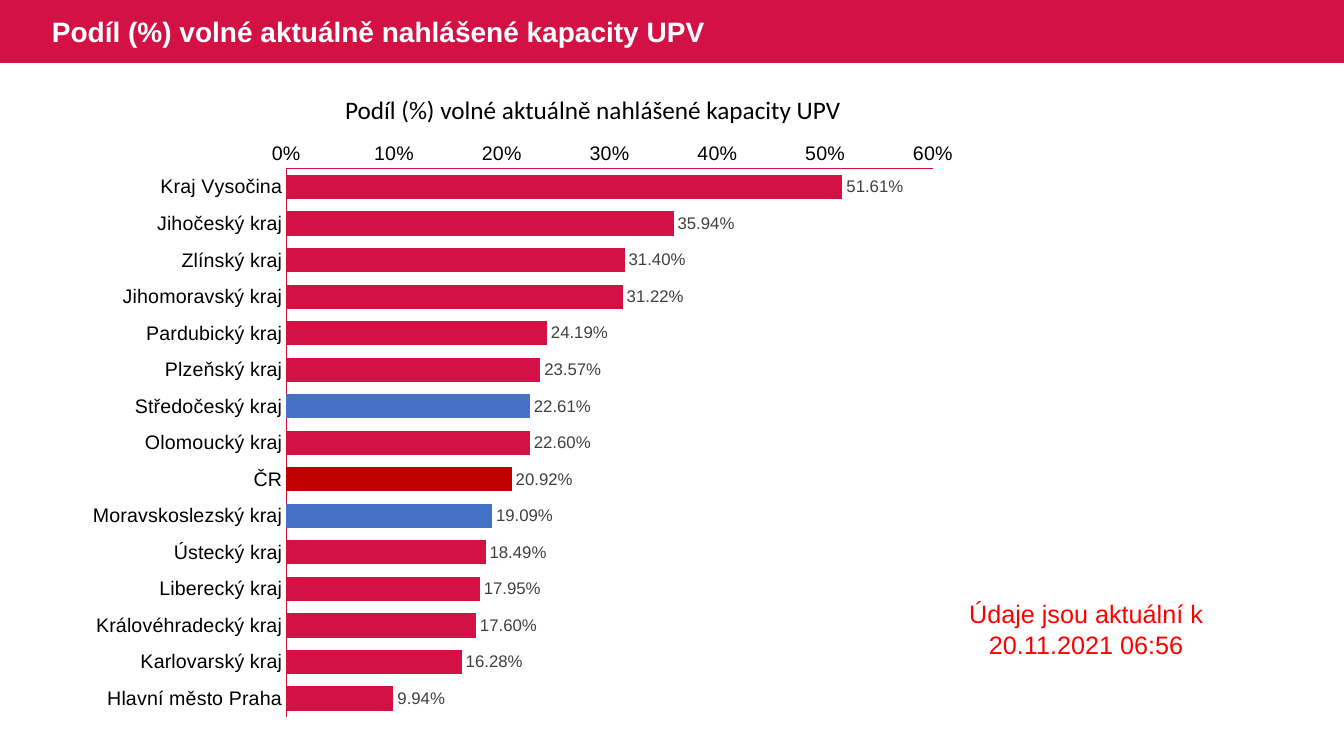
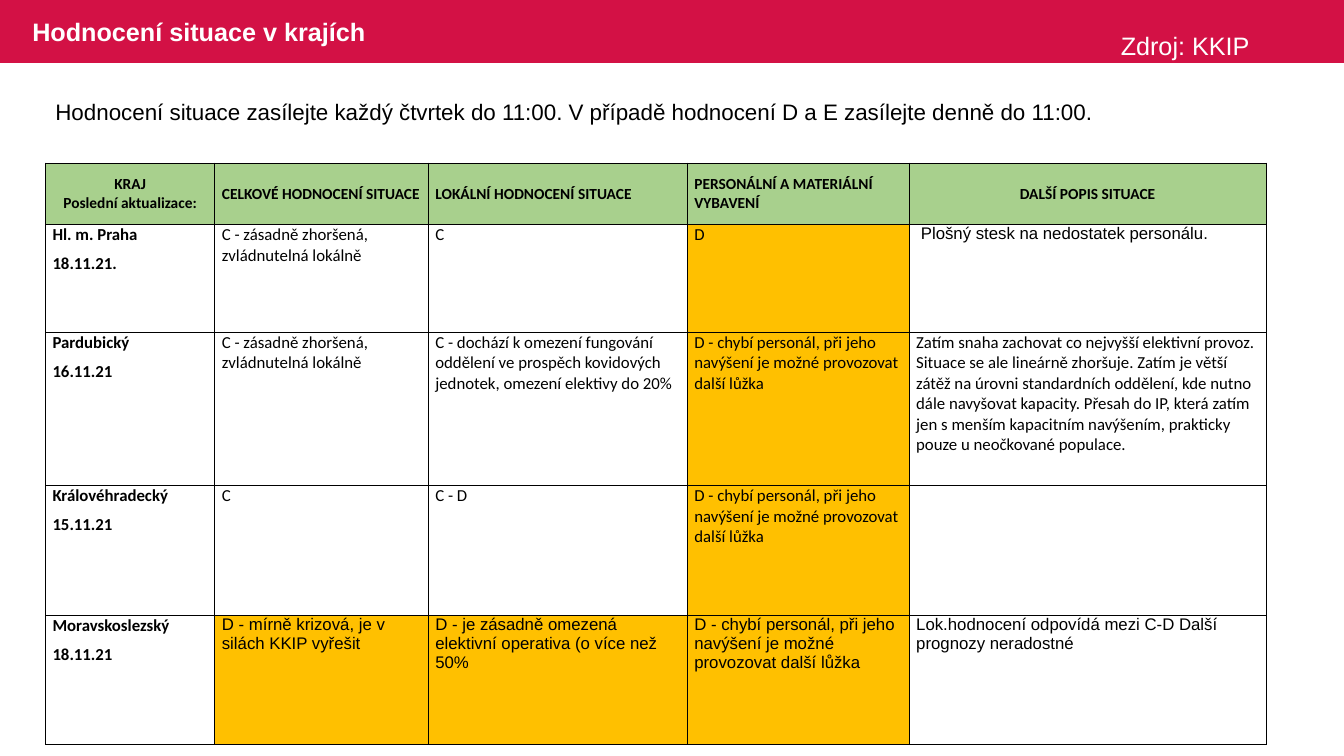
from dataclasses import dataclass

from lxml.etree import SubElement
from pptx import Presentation
from pptx.chart.data import CategoryChartData
from pptx.dml.color import RGBColor
from pptx.enum.chart import XL_CHART_TYPE as ChartType
from pptx.enum.chart import XL_LABEL_POSITION as LabelPosition
from pptx.enum.chart import XL_TICK_MARK as TickMark
from pptx.enum.shapes import MSO_SHAPE as Preset
from pptx.enum.text import MSO_ANCHOR as Anchor
from pptx.enum.text import PP_ALIGN as Align
from pptx.oxml.ns import qn
from pptx.util import Pt


@dataclass(frozen=True)
class Theme:
    crimson: str = "D31145"
    white: str = "FFFFFF"
    black: str = "000000"
    gray: str = "404040"
    blue: str = "4472C4"
    dark_red: str = "C00000"
    notice_red: str = "FF0000"
    header_green: str = "A8D08D"
    alert_amber: str = "FFC000"
    sans: str = "Arial"
    body: str = "Calibri"
    title_size: int = 20
    large: int = 18
    lead: int = 16
    axis: int = 14
    small: int = 12
    header: int = 11
    hairline: float = 0.75


THEME = Theme()
SLIDE_WIDTH, SLIDE_HEIGHT, BAND_HEIGHT = 960, 540, 45

CAPACITY = {
    "Kraj Vysočina": 0.5161,
    "Jihočeský kraj": 0.3594,
    "Zlínský kraj": 0.314,
    "Jihomoravský kraj": 0.3122,
    "Pardubický kraj": 0.2419,
    "Plzeňský kraj": 0.2357,
    "Středočeský kraj": 0.2261,
    "Olomoucký kraj": 0.226,
    "ČR": 0.2092,
    "Moravskoslezský kraj": 0.1909,
    "Ústecký kraj": 0.1849,
    "Liberecký kraj": 0.1795,
    "Královéhradecký kraj": 0.176,
    "Karlovarský kraj": 0.1628,
    "Hlavní město Praha": 0.0994,
}
HIGHLIGHTS = {
    "Středočeský kraj": THEME.blue,
    "ČR": THEME.dark_red,
    "Moravskoslezský kraj": THEME.blue,
}

WORSENED = "C - zásadně zhoršená, zvládnutelná lokálně"
STAFF_MISSING = "D - chybí personál, při jeho navýšení je možné provozovat další lůžka"
HEADINGS = ["KRAJ\nPoslední aktualizace:", "CELKOVÉ HODNOCENÍ SITUACE",
            "LOKÁLNÍ HODNOCENÍ SITUACE", "PERSONÁLNÍ A MATERIÁLNÍ VYBAVENÍ",
            "DALŠÍ POPIS SITUACE"]
REGIONS = [
    ["Hl. m. Praha\n18.11.21.", WORSENED, "C", "D",
     " Plošný stesk na nedostatek personálu."],
    ["Pardubický\n16.11.21", WORSENED,
     "C - dochází k omezení fungování oddělení ve prospěch kovidových jednotek, "
     "omezení elektivy do 20%",
     STAFF_MISSING,
     "Zatím snaha zachovat co nejvyšší elektivní provoz. Situace se ale lineárně "
     "zhoršuje. Zatím je větší zátěž na úrovni standardních oddělení, kde nutno dále "
     "navyšovat kapacity. Přesah do IP, která zatím jen s menším kapacitním navýšením, "
     "prakticky pouze u neočkované populace."],
    ["Královéhradecký\n15.11.21", "C", "C - D", STAFF_MISSING, ""],
    ["Moravskoslezský\n18.11.21", "D - mírně krizová, je v silách KKIP vyřešit",
     "D - je zásadně omezená elektivní operativa (o více než 50%", STAFF_MISSING,
     "Lok.hodnocení odpovídá mezi C-D Další prognozy neradostné"],
]
COLUMN_WIDTHS = [121, 152.5, 185, 158.5, 255]
ROW_HEIGHTS = [44, 77, 109.5, 92.5, 92.5]
CENTERED_HEADINGS = {0, 4}
SANS_CELLS = {(1, 4), (4, 1), (4, 2), (4, 3), (4, 4)}


def rgb(color):
    return RGBColor.from_string(color)


def style_font(font, size, color=THEME.black, name=THEME.sans, bold=False):
    font.size = Pt(size)
    font.name = name
    font.bold = bold
    font.color.rgb = rgb(color)


def add_text(slide, text, left, top, width, height, size, color=THEME.black,
             name=THEME.sans, bold=False, align=Align.LEFT, anchor=Anchor.TOP):
    box = slide.shapes.add_textbox(Pt(left), Pt(top), Pt(width), Pt(height))
    frame = box.text_frame
    frame.word_wrap = True
    frame.vertical_anchor = anchor
    frame.text = text
    paragraph = frame.paragraphs[0]
    paragraph.alignment = align
    style_font(paragraph.font, size, color, name, bold)


def add_titled_slide(presentation, title, left, size):
    """Add a blank slide with the crimson band and its title."""
    slide = presentation.slides.add_slide(presentation.slide_layouts[6])
    band = slide.shapes.add_shape(Preset.RECTANGLE, 0, 0, Pt(SLIDE_WIDTH), Pt(BAND_HEIGHT))
    band.shadow.inherit = False
    band.fill.solid()
    band.fill.fore_color.rgb = rgb(THEME.crimson)
    band.line.fill.background()
    add_text(slide, title, left, 0, 700, BAND_HEIGHT, size, THEME.white,
             bold=True, anchor=Anchor.MIDDLE)
    return slide


def style_axis(axis):
    axis.has_major_gridlines = False
    axis.major_tick_mark = axis.minor_tick_mark = TickMark.NONE
    axis.format.line.color.rgb = rgb(THEME.crimson)
    axis.format.line.width = Pt(THEME.hairline)
    style_font(axis.tick_labels.font, THEME.axis)


def fill_bar(bar, color):
    bar.format.fill.solid()
    bar.format.fill.fore_color.rgb = rgb(color)


def add_capacity_chart(slide, left, top, width, height):
    data = CategoryChartData()
    data.categories = list(CAPACITY)
    data.add_series("Series 1", CAPACITY.values())
    chart = slide.shapes.add_chart(ChartType.BAR_CLUSTERED, Pt(left), Pt(top),
                                   Pt(width), Pt(height), data).chart
    chart.has_title = chart.has_legend = False
    style_font(chart.font, 10)

    style_axis(chart.category_axis)
    chart.category_axis.reverse_order = True
    value_axis = chart.value_axis
    style_axis(value_axis)
    value_axis.minimum_scale, value_axis.maximum_scale = 0, 0.6
    value_axis.major_unit = 0.1
    value_axis.tick_labels.number_format = "0%"
    value_axis.tick_labels.number_format_is_linked = False

    plot = chart.plots[0]
    plot.gap_width = 50
    plot.vary_by_categories = False
    series = plot.series[0]
    fill_bar(series, THEME.crimson)
    for index, region in enumerate(CAPACITY):
        if region in HIGHLIGHTS:
            fill_bar(series.points[index], HIGHLIGHTS[region])

    labels = series.data_labels
    labels.show_value = True
    labels.position = LabelPosition.OUTSIDE_END
    labels.number_format = "0.00%"
    labels.number_format_is_linked = False
    style_font(labels.font, THEME.small, THEME.gray)


def add_borders(cell):
    properties = cell._tc.get_or_add_tcPr()
    for side in ("a:lnL", "a:lnR", "a:lnT", "a:lnB"):
        line = SubElement(properties, qn(side), w=str(Pt(THEME.hairline)))
        fill = SubElement(line, qn("a:solidFill"))
        SubElement(fill, qn("a:srgbClr"), val=THEME.black)


def fill_cell(cell, text, size, name=THEME.body, bold=False, color=None,
              align=Align.LEFT, anchor=Anchor.TOP, gap=0):
    """Write a bordered cell; gap is the space between its paragraphs."""
    add_borders(cell)
    cell.margin_left = cell.margin_right = Pt(5)
    cell.margin_top = cell.margin_bottom = 0
    cell.vertical_anchor = anchor
    if color:
        cell.fill.solid()
        cell.fill.fore_color.rgb = rgb(color)
    else:
        cell.fill.background()
    cell.text = text
    for index, paragraph in enumerate(cell.text_frame.paragraphs):
        paragraph.alignment = align
        if index:
            paragraph.space_before = Pt(gap)
        style_font(paragraph.font, size, name=name, bold=bold)


def add_region_table(slide, left, top):
    table = slide.shapes.add_table(
        len(ROW_HEIGHTS), len(COLUMN_WIDTHS), Pt(left), Pt(top),
        Pt(sum(COLUMN_WIDTHS)), Pt(sum(ROW_HEIGHTS))).table
    table.first_row = table.horz_banding = False
    for column, width in zip(table.columns, COLUMN_WIDTHS):
        column.width = Pt(width)
    for row, height in zip(table.rows, ROW_HEIGHTS):
        row.height = Pt(height)

    for column, heading in enumerate(HEADINGS):
        align = Align.CENTER if column in CENTERED_HEADINGS else Align.LEFT
        fill_cell(table.cell(0, column), heading, THEME.header, bold=True,
                  color=THEME.header_green, align=align, anchor=Anchor.MIDDLE)
    for row, texts in enumerate(REGIONS, start=1):
        for column, text in enumerate(texts):
            fill_cell(table.cell(row, column), text, THEME.small,
                      name=THEME.sans if (row, column) in SANS_CELLS else THEME.body,
                      bold=column == 0, gap=6,
                      color=THEME.alert_amber if text.startswith("D") else None)


def build_capacity_slide(presentation):
    title = "Podíl (%) volné aktuálně nahlášené kapacity UPV"
    slide = add_titled_slide(presentation, title, 30, THEME.title_size)
    add_capacity_chart(slide, 53.5, 93.5, 640, 427)
    add_text(slide, title, 239.5, 64, 380, 29, THEME.large, name=THEME.body)
    add_text(slide, "Údaje jsou aktuální k 20.11.2021 06:56", 684, 424, 183.5, 51,
             THEME.large, THEME.notice_red, align=Align.CENTER)


def build_regions_slide(presentation):
    slide = add_titled_slide(presentation, "Hodnocení situace v krajích", 16, THEME.large)
    add_region_table(slide, 32.5, 116.5)
    add_text(slide, "Hodnocení situace zasílejte každý čtvrtek do 11:00. "
             "V případě hodnocení D a E zasílejte denně do 11:00.",
             32.5, 66.5, 761, 27, THEME.lead)
    add_text(slide, "Zdroj: KKIP", 793.5, 18, 160, 29, THEME.large, THEME.white)


def main():
    presentation = Presentation()
    presentation.slide_width = Pt(SLIDE_WIDTH)
    presentation.slide_height = Pt(SLIDE_HEIGHT)
    build_capacity_slide(presentation)
    build_regions_slide(presentation)
    presentation.save("out.pptx")


if __name__ == "__main__":
    main()
